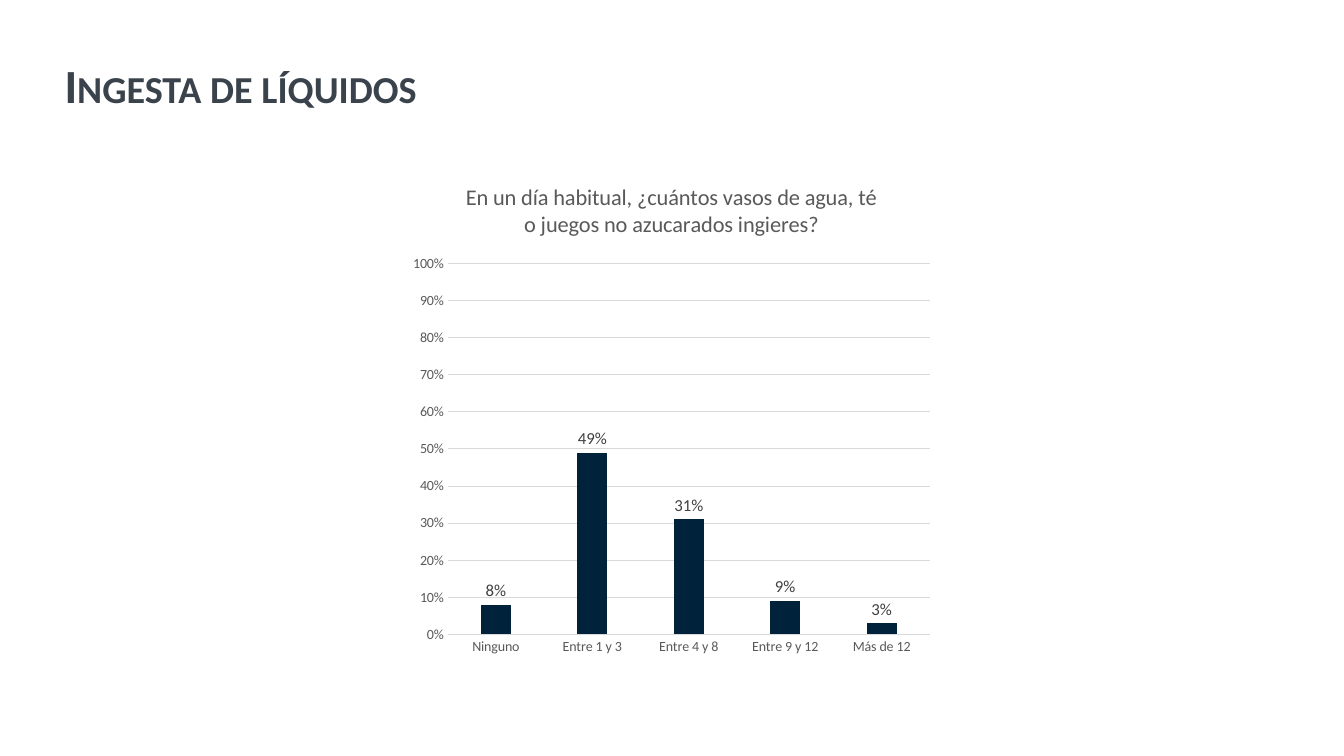
from typing import NamedTuple

from pptx import Presentation
from pptx.chart.data import CategoryChartData
from pptx.dml.color import RGBColor
from pptx.enum.chart import XL_CHART_TYPE, XL_LABEL_POSITION, XL_TICK_MARK
from pptx.enum.text import MSO_ANCHOR, MSO_AUTO_SIZE, PP_ALIGN
from pptx.util import Emu, Pt

PX = 9144  # 100 px to the inch
FONT = "Calibri"
TEXT_GREY = "595959"
LINE_GREY = "D9D9D9"


class Box(NamedTuple):
    left: int
    top: int
    width: int
    height: int


class Answer(NamedTuple):
    glasses: str
    share: float


TITLE_BOX = Box(54, 40, 1273, 94)
CHART_BOX = Box(399, 161, 534, 498)
QUESTION = "En un día habitual, ¿cuántos vasos de agua, té o juegos no azucarados ingieres?"
ANSWERS = [
    Answer("Ninguno", 0.08),
    Answer("Entre 1 y 3", 0.49),
    Answer("Entre 4 y 8", 0.31),
    Answer("Entre 9 y 12", 0.09),
    Answer("Más de 12", 0.03),
]


def px(length: int) -> Emu:
    return Emu(length * PX)


def color(value: str) -> RGBColor:
    return RGBColor.from_string(value)


def format_font(font, size: int, shade: str, bold: bool = False) -> None:
    font.name = FONT
    font.size = Pt(size)
    font.bold = bold
    font.color.rgb = color(shade)


def format_line(line) -> None:
    line.color.rgb = color(LINE_GREY)
    line.width = Pt(0.75)


def write(frame, text: str, *, size: int, shade: str, bold: bool = False,
          small_caps: bool = False, align=None, spacing=None) -> None:
    para = frame.paragraphs[0]
    para.alignment = align
    para.line_spacing = spacing
    span = para.add_run()
    span.text = text
    format_font(span.font, size, shade, bold)
    if small_caps:
        span.font._element.set("cap", "small")


def add_title(page, text: str) -> None:
    title = page.shapes.title
    title.left, title.top, title.width, title.height = map(px, TITLE_BOX)
    frame = title.text_frame
    frame.word_wrap = True
    frame.auto_size = MSO_AUTO_SIZE.NONE
    frame.vertical_anchor = MSO_ANCHOR.MIDDLE
    write(frame, text, size=34, shade="3A434C", bold=True, small_caps=True,
          align=PP_ALIGN.LEFT, spacing=0.9)


def format_axis(axis) -> None:
    axis.major_tick_mark = XL_TICK_MARK.NONE
    axis.minor_tick_mark = XL_TICK_MARK.NONE
    format_font(axis.tick_labels.font, 10, TEXT_GREY)


def add_answer_chart(page, answers: list[Answer]) -> None:
    data = CategoryChartData(number_format="0%")
    data.categories = [answer.glasses for answer in answers]
    data.add_series("Series 1", [answer.share for answer in answers])
    chart = page.shapes.add_chart(
        XL_CHART_TYPE.COLUMN_CLUSTERED, *map(px, CHART_BOX), data).chart
    format_font(chart.font, 10, "000000")
    chart.has_legend = False
    chart.has_title = True
    write(chart.chart_title.text_frame, QUESTION, size=16, shade=TEXT_GREY)
    chart.chart_title.include_in_layout = False

    format_axis(chart.category_axis)
    format_line(chart.category_axis.format.line)

    shares = chart.value_axis
    format_axis(shares)
    shares.minimum_scale, shares.maximum_scale, shares.major_unit = 0, 1, 0.1
    shares.tick_labels.number_format = "0%"
    shares.tick_labels.number_format_is_linked = False
    shares.format.line.fill.background()
    format_line(shares.major_gridlines.format.line)

    plot = chart.plots[0]
    plot.gap_width, plot.overlap = 219, -27
    plot.vary_by_categories = False
    series = plot.series[0]
    series.format.fill.solid()
    series.format.fill.fore_color.rgb = color("00223A")
    labels = series.data_labels
    labels.show_value = True
    labels.position = XL_LABEL_POSITION.OUTSIDE_END
    labels.number_format = "0%"
    labels.number_format_is_linked = False
    format_font(labels.font, 12, "404040")


def main() -> None:
    deck = Presentation()
    deck.slide_width, deck.slide_height = px(1333), px(750)
    page = deck.slides.add_slide(deck.slide_layouts[5])
    add_title(page, "Ingesta de líquidos")
    add_answer_chart(page, ANSWERS)
    deck.save("out.pptx")


if __name__ == "__main__":
    main()
